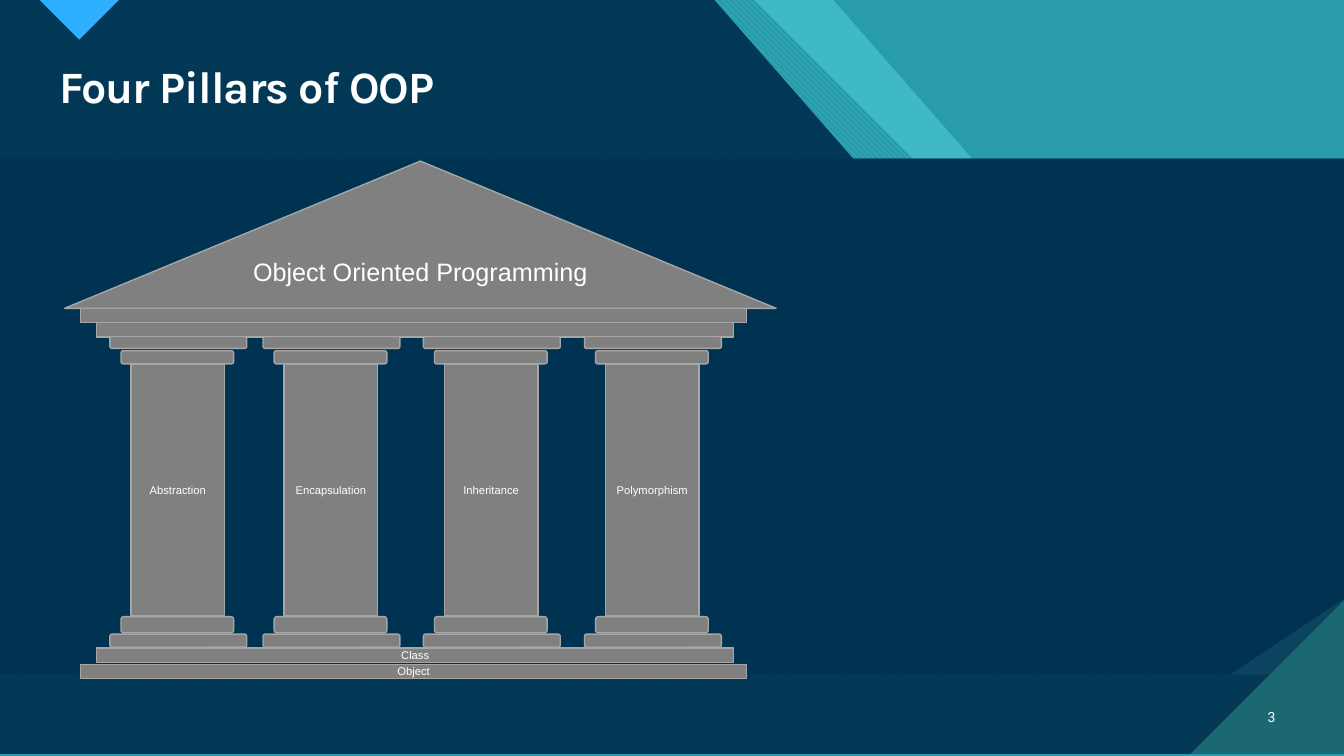
from dataclasses import dataclass

from lxml.etree import SubElement
from pptx import Presentation
from pptx.dml.color import RGBColor
from pptx.enum.dml import MSO_PATTERN as Pattern
from pptx.enum.shapes import MSO_SHAPE as Preset
from pptx.enum.text import MSO_ANCHOR as Anchor, MSO_AUTO_SIZE as AutoSize, PP_ALIGN as Align
from pptx.oxml.ns import qn
from pptx.util import Cm, Pt

TITLE = "Four Pillars of OOP"
SLIDE_NUMBER = "3"
ROOF = "Object Oriented Programming"
PILLARS = [("Abstraction", 2.77), ("Encapsulation", 6.63),
           ("Inheritance", 10.67), ("Polymorphism", 14.73)]  # label, left in cm
BASE = ["Class", "Object"]


@dataclass(frozen=True)
class Theme:
    navy: str = "003352"
    panel_edge: str = "0C4360"
    teal: str = "299CAB"
    aqua: str = "47C3D3"
    deep_teal: str = "1B6872"
    blue: str = "2FAFFF"
    stone: str = "808080"
    stone_edge: str = "A6A6A6"
    white: str = "FFFFFF"
    title_font: str = "Karla"
    number_font: str = "Roboto"
    temple_font: str = "Arial"
    title_size: int = 32
    roof_size: int = 18
    label_size: int = 8
    number_size: int = 10


THEME = Theme()
WIDTH, HEIGHT = 33.87, 19.05
PANEL_TOP, PANEL_BOTTOM, PANEL_SNIP = 3.76, 17.22, 2.65
CORNER = 3.91
BAND_DEPTH = 7.54

# Temple measures in cm
ROOF_BOX = (1.63, 4.06, 17.93, 3.71)
WIDE_TIER, NARROW_TIER = (2.03, 16.79), (2.44, 16.05)  # left, width
TIER_HEIGHT = 0.36
BEAM_TOPS = (7.77, 8.13)
BASE_TOPS = (16.33, 16.74)
SHAFT = (0.53, 9.19, 2.36, 6.32)  # offset from pillar left, top, width, height
BLOCKS = [(0, 8.48, 3.45, 0.3), (0.28, 8.84, 2.84, 0.33),
          (0.28, 15.54, 2.84, 0.41), (0, 15.98, 3.45, 0.33)]


def rgb(value):
    return RGBColor.from_string(value)


def add_text(frame, text, font, size, align, bold=False):
    paragraph = frame.paragraphs[0]
    paragraph.alignment = align
    run = paragraph.add_run()
    run.text = text
    run.font.name, run.font.size, run.font.bold = font, Pt(size), bold
    run.font.color.rgb = rgb(THEME.white)
    return run


def add_outline(slide, points, color, opacity=100, pattern=None, back=None):
    """Draw a closed polygon from points in cm, plain or patterned."""
    builder = slide.shapes.build_freeform(*points[0], scale=Cm(1))
    builder.add_line_segments(points[1:], close=True)
    shape = builder.convert_to_shape()
    shape.shadow.inherit = False
    shape.line.fill.background()
    if pattern is None:
        shape.fill.solid()
        shape.fill.fore_color.rgb = rgb(color)
    else:
        shape.fill.patterned()
        shape.fill.pattern = pattern
        shape.fill.fore_color.rgb = rgb(color)
        shape.fill.back_color.rgb = rgb(back)
    if opacity < 100:
        fill_color = shape._element.spPr.find(qn("a:solidFill"))[0]
        SubElement(fill_color, qn("a:alpha")).set("val", str(opacity * 1000))


def slanted(left):
    """Outline of the slide left of a 45 degree cut that starts at the top edge."""
    return [(0, 0), (left, 0), (left + BAND_DEPTH, BAND_DEPTH),
            (WIDTH, BAND_DEPTH), (WIDTH, HEIGHT), (0, HEIGHT)]


def panel(snip):
    return [(0, PANEL_TOP), (WIDTH, PANEL_TOP), (WIDTH, PANEL_BOTTOM - snip),
            (WIDTH - snip, PANEL_BOTTOM), (0, PANEL_BOTTOM)]


def notch(center, half):
    return [(center - half, 0), (center + half, 0), (center, half)]


def add_backdrop(slide):
    slide.background.fill.solid()
    slide.background.fill.fore_color.rgb = rgb(THEME.teal)
    add_outline(slide, slanted(20.96), THEME.aqua, opacity=74)
    add_outline(slide, slanted(19.3), THEME.aqua,
                pattern=Pattern.WIDE_DOWNWARD_DIAGONAL, back=THEME.teal)
    add_outline(slide, slanted(17.65), THEME.aqua,
                pattern=Pattern.WIDE_UPWARD_DIAGONAL, back=THEME.deep_teal)
    add_outline(slide, slanted(17.65), THEME.navy, opacity=90)
    add_outline(slide, notch(2.27, 1.05), THEME.navy)
    add_outline(slide, notch(1.96, 1.02), THEME.blue)
    add_outline(slide, panel(0.01), THEME.panel_edge)
    add_outline(slide, panel(PANEL_SNIP), THEME.navy)
    add_outline(slide, [(WIDTH - CORNER, HEIGHT), (WIDTH, HEIGHT), (WIDTH, HEIGHT - CORNER)],
                THEME.deep_teal)


def add_title(slide):
    title = slide.shapes.title
    title.left, title.top, title.width, title.height = Cm(1.24), Cm(1.5), Cm(31.14), Cm(1.5)
    slide.shapes[-1]._element.addnext(title._element)  # in front of the backdrop
    frame = title.text_frame
    frame.auto_size = AutoSize.NONE
    frame.vertical_anchor = Anchor.MIDDLE
    run = add_text(frame, TITLE, THEME.title_font, THEME.title_size, Align.LEFT, bold=True)
    run.font._element.set("spc", "-70")
    frame.paragraphs[0].line_spacing = 0.9


def add_slide_number(slide):
    box = slide.shapes.add_textbox(Cm(31.27), Cm(17.55), Cm(1.12), Cm(1.02))
    frame = box.text_frame
    frame.word_wrap = True
    frame.vertical_anchor = Anchor.MIDDLE
    add_text(frame, SLIDE_NUMBER, THEME.number_font, THEME.number_size, Align.RIGHT)
    frame.paragraphs[0].space_after = Pt(6)


def add_stone(temple, preset, box, label="", size=THEME.label_size):
    stone = temple.shapes.add_shape(preset, *map(Cm, box))
    stone.shadow.inherit = False
    stone.fill.solid()
    stone.fill.fore_color.rgb = rgb(THEME.stone)
    stone.line.color.rgb = rgb(THEME.stone_edge)
    stone.line.width = Pt(1)
    if label:
        frame = stone.text_frame
        frame.margin_left = frame.margin_right = frame.margin_top = frame.margin_bottom = 0
        frame.vertical_anchor = Anchor.MIDDLE
        add_text(frame, label, THEME.temple_font, size, Align.CENTER)


def add_temple(slide):
    temple = slide.shapes.add_group_shape()
    add_stone(temple, Preset.ISOSCELES_TRIANGLE, ROOF_BOX, ROOF, THEME.roof_size)
    for (left, width), top in zip((WIDE_TIER, NARROW_TIER), BEAM_TOPS):
        add_stone(temple, Preset.RECTANGLE, (left, top, width, TIER_HEIGHT))
    for (left, width), top, label in zip((NARROW_TIER, WIDE_TIER), BASE_TOPS, BASE):
        add_stone(temple, Preset.RECTANGLE, (left, top, width, TIER_HEIGHT), label)
    for label, left in PILLARS:
        for offset, *box in BLOCKS:
            add_stone(temple, Preset.ROUNDED_RECTANGLE, (left + offset, *box))
        offset, *box = SHAFT
        add_stone(temple, Preset.RECTANGLE, (left + offset, *box), label)


def main():
    presentation = Presentation()
    presentation.slide_width, presentation.slide_height = Cm(WIDTH), Cm(HEIGHT)
    slide = presentation.slides.add_slide(presentation.slide_layouts[5])
    add_backdrop(slide)
    add_title(slide)
    add_slide_number(slide)
    add_temple(slide)
    presentation.save("out.pptx")


if __name__ == "__main__":
    main()
